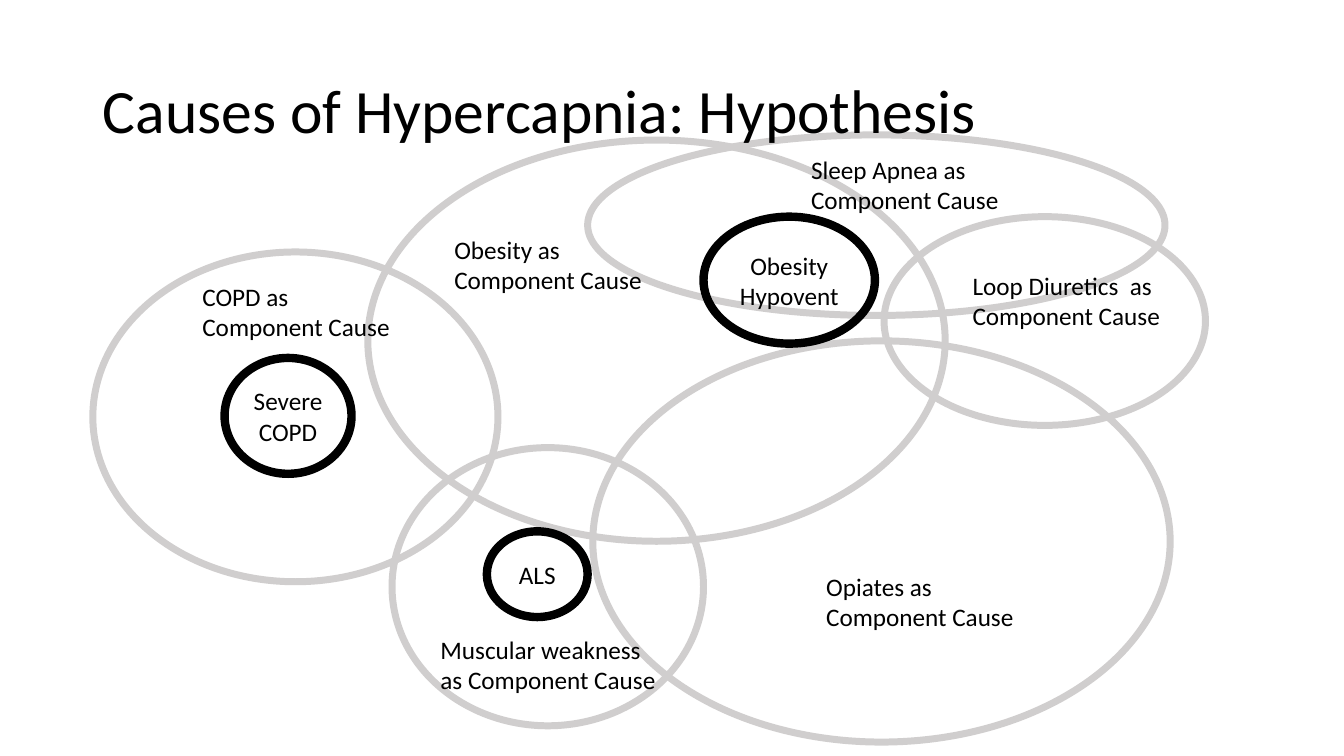
"""Build a slide of overlapping causes of hypercapnia."""
from dataclasses import dataclass

from pptx import Presentation
from pptx.dml.color import RGBColor
from pptx.enum.shapes import MSO_SHAPE
from pptx.enum.text import MSO_ANCHOR, MSO_AUTO_SIZE, PP_ALIGN
from pptx.util import Cm, Pt

OVAL = MSO_SHAPE.OVAL
MIDDLE, TOP = MSO_ANCHOR.MIDDLE, MSO_ANCHOR.TOP
LEFT, CENTER = PP_ALIGN.LEFT, PP_ALIGN.CENTER
FIXED, GROW = MSO_AUTO_SIZE.NONE, MSO_AUTO_SIZE.SHAPE_TO_FIT_TEXT

TITLE = "Causes of Hypercapnia: Hypothesis"
TITLE_BOX = (2.34, 1.02, 29.21, 3.68)

CAUSES = [
    ("Sleep Apnea as Component Cause",
     (14.81, 3.4, 14.55, 4.55), (20.19, 3.76, 6.1)),
    ("Opiates as Component Cause",
     (14.94, 8.59, 14.55, 10.11), (20.57, 14.27, 6.1)),
    ("Obesity as Component Cause",
     (9.27, 3.53, 14.55, 10.11), (11.2, 5.77, 6.1)),
    ("COPD as Component Cause",
     (2.34, 6.35, 10.21, 8.31), (4.85, 6.96, 5.61)),
    ("Muscular weakness as Component Cause",
     (9.88, 11.28, 7.85, 7.01), (10.85, 15.85, 6.1)),
    ("Loop Diuretics  as Component Cause",
     (22.28, 5.46, 8.1, 5.26), (24.26, 6.68, 6.1)),
]
CORES = [
    ("Severe COPD", (5.66, 9.02, 3.2, 2.92)),
    ("Obesity Hypovent", (17.73, 5.46, 4.32, 3.2)),
    ("ALS", (12.27, 13.39, 2.54, 2.16)),
]
LABEL_HIGH = 1.8


@dataclass(frozen=True)
class Theme:
    """Hold the colours, font and sizes."""
    ink: RGBColor = RGBColor(0, 0, 0)
    pale: RGBColor = RGBColor(0xD0, 0xCE, 0xCE)
    font: str = "Calibri"
    head: Pt = Pt(44)
    body: Pt = Pt(18)
    thin: Pt = Pt(5)
    thick: Pt = Pt(6)


THEME = Theme()


def to_cm(box):
    """Turn numbers into lengths."""
    return [Cm(side) for side in box]


def write(shape, text, size, align, anchor, fit):
    """Put one styled paragraph in a shape."""
    frame = shape.text_frame
    frame.text = text
    frame.word_wrap = True
    frame.auto_size = fit
    frame.vertical_anchor = anchor
    para = frame.paragraphs[0]
    para.alignment = align
    para.font.name = THEME.font
    para.font.size = size
    para.font.color.rgb = THEME.ink
    return para


def add_ring(slide, box, color, width):
    """Draw an open oval."""
    ring = slide.shapes.add_shape(OVAL, *to_cm(box))
    ring.shadow.inherit = False
    ring.fill.background()
    ring.line.color.rgb = color
    ring.line.width = width
    return ring


def add_title(slide):
    """Fill the title and lift it above the pale ovals."""
    title = slide.shapes.title
    title.left, title.top, title.width, title.height = to_cm(TITLE_BOX)
    para = write(title, TITLE, THEME.head, LEFT, MIDDLE, FIXED)
    para.line_spacing = 0.9
    title.element.getparent().append(title.element)


def main():
    """Build and save the slide."""
    deck = Presentation()
    deck.slide_width, deck.slide_height = Cm(33.87), Cm(19.05)
    slide = deck.slides.add_slide(deck.slide_layouts[5])

    for _, oval, _ in CAUSES:
        add_ring(slide, oval, THEME.pale, THEME.thin)
    add_title(slide)
    for text, oval in CORES:
        ring = add_ring(slide, oval, THEME.ink, THEME.thick)
        write(ring, text, THEME.body, CENTER, MIDDLE, FIXED)
        ring.text_frame.margin_left = ring.text_frame.margin_right = Cm(0.2)
    for text, _, spot in CAUSES:
        label = slide.shapes.add_textbox(*to_cm((*spot, LABEL_HIGH)))
        write(label, text, THEME.body, LEFT, TOP, GROW)

    deck.save("out.pptx")


if __name__ == "__main__":
    main()
